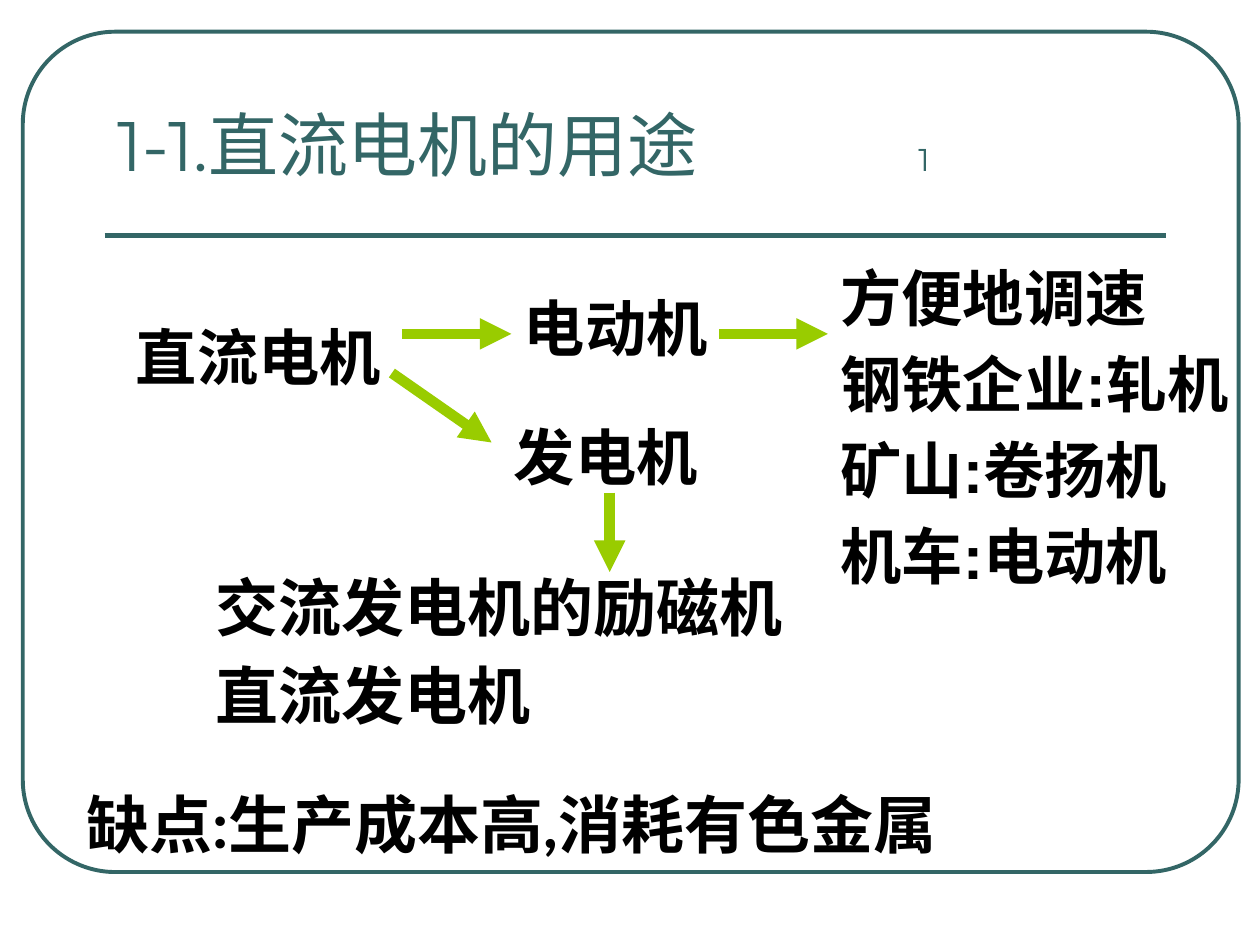
from lxml.etree import SubElement
from pptx import Presentation
from pptx.dml.color import RGBColor
from pptx.enum.shapes import MSO_CONNECTOR, MSO_SHAPE
from pptx.enum.text import MSO_ANCHOR, PP_ALIGN
from pptx.oxml.ns import qn
from pptx.util import Cm, Pt

TEAL = RGBColor(0x33, 0x66, 0x66)
GREEN = RGBColor(0x99, 0xCC, 0x00)
BLACK = RGBColor(0, 0, 0)

TITLE = "1-1.直流电机的用途"
TITLE_NUMBER = "1"
TITLE_AREA = (2.11, 1.47, 21.39, 2.39)
NUMBER_TAB = 16.15
FRAME = (0.46, 0.64, 24.51, 16.94)
RULE = (2.11, 4.75, 23.5, 4.75)

BRANCH = {"size": Pt(35), "name": "Arial", "bold": True}
REMARK = {"size": Pt(36), "name": "Lato", "bold": True}
HANGING = 0.97

NOTES = [
    (["直流电机"], (2.49, 6.32, 5.64, 1.7), BRANCH),
    (["电动机"], (10.31, 5.72, 4.6, 1.93), BRANCH),
    (["发电机"], (10.11, 8.33, 4.6, 1.93), BRANCH),
    (["方便地调速", "钢铁企业:轧机", "矿山:卷扬机", "机车:电动机"],
     (16.69, 5.13, 8.71, 7.21), BRANCH),
    (["交流发电机的励磁机", "直流发电机"], (4.09, 11.33, 12.19, 3.81), REMARK),
    (["缺点:生产成本高,消耗有色金属"], (1.5, 15.72, 19.41, 1.88), REMARK),
]

ARROWS = [
    (8.1, 6.73, 10.31, 6.73),
    (14.5, 6.73, 16.69, 6.73),
    (7.9, 7.52, 9.91, 8.92),
    (12.29, 9.93, 12.29, 11.53),
]


def lengths(values):
    return [Cm(value) for value in values]


def style(font, color, formats):
    for key, value in formats.items():
        setattr(font, key, value)
    font.color.rgb = color


def add_stroke(slide, ends, color, width, arrow=False):
    stroke = slide.shapes.add_connector(MSO_CONNECTOR.STRAIGHT, *lengths(ends))
    stroke.line.color.rgb = color
    stroke.line.width = Pt(width)
    if arrow:
        SubElement(stroke.line._get_or_add_ln(), qn("a:tailEnd"), type="triangle")
    SubElement(stroke._element.spPr, qn("a:effectLst"))


def add_frame(slide):
    frame = slide.shapes.add_shape(MSO_SHAPE.ROUNDED_RECTANGLE, *lengths(FRAME))
    frame.adjustments[0] = 0.11
    frame.shadow.inherit = False
    frame.fill.background()
    frame.line.color.rgb = TEAL
    frame.line.width = Pt(2.25)


def fill_title(slide):
    title = slide.shapes.title
    title.left, title.top, title.width, title.height = lengths(TITLE_AREA)
    title.text_frame.vertical_anchor = MSO_ANCHOR.BOTTOM
    heading = title.text_frame.paragraphs[0]
    heading.alignment = PP_ALIGN.LEFT
    tabs = SubElement(heading._p.get_or_add_pPr(), qn("a:tabLst"))
    SubElement(tabs, qn("a:tab"), pos=str(Cm(NUMBER_TAB)), algn="l")
    for words, size in [(TITLE, 40), ("\t" + TITLE_NUMBER, 18)]:
        run = heading.add_run()
        run.text = words
        style(run.font, TEAL, {"size": Pt(size), "name": "Montserrat"})


def add_note(slide, lines, area, formats):
    frame = slide.shapes.add_textbox(*lengths(area)).text_frame
    frame.word_wrap = True
    for index, words in enumerate(lines):
        paragraph = frame.add_paragraph() if index else frame.paragraphs[0]
        properties = paragraph._p.get_or_add_pPr()
        properties.set("marL", str(Cm(HANGING)))
        properties.set("indent", str(-Cm(HANGING)))
        if index:
            paragraph.space_before = Pt(7)
        run = paragraph.add_run()
        run.text = words
        style(run.font, BLACK, formats)


def main():
    deck = Presentation()
    deck.slide_width, deck.slide_height = Cm(25.4), Cm(19.05)
    slide = deck.slides.add_slide(deck.slide_layouts[5])
    add_frame(slide)
    add_stroke(slide, RULE, TEAL, 3)
    fill_title(slide)
    for lines, area, formats in NOTES:
        add_note(slide, lines, area, formats)
    for ends in ARROWS:
        add_stroke(slide, ends, GREEN, 6, arrow=True)
    deck.save("out.pptx")


if __name__ == "__main__":
    main()
